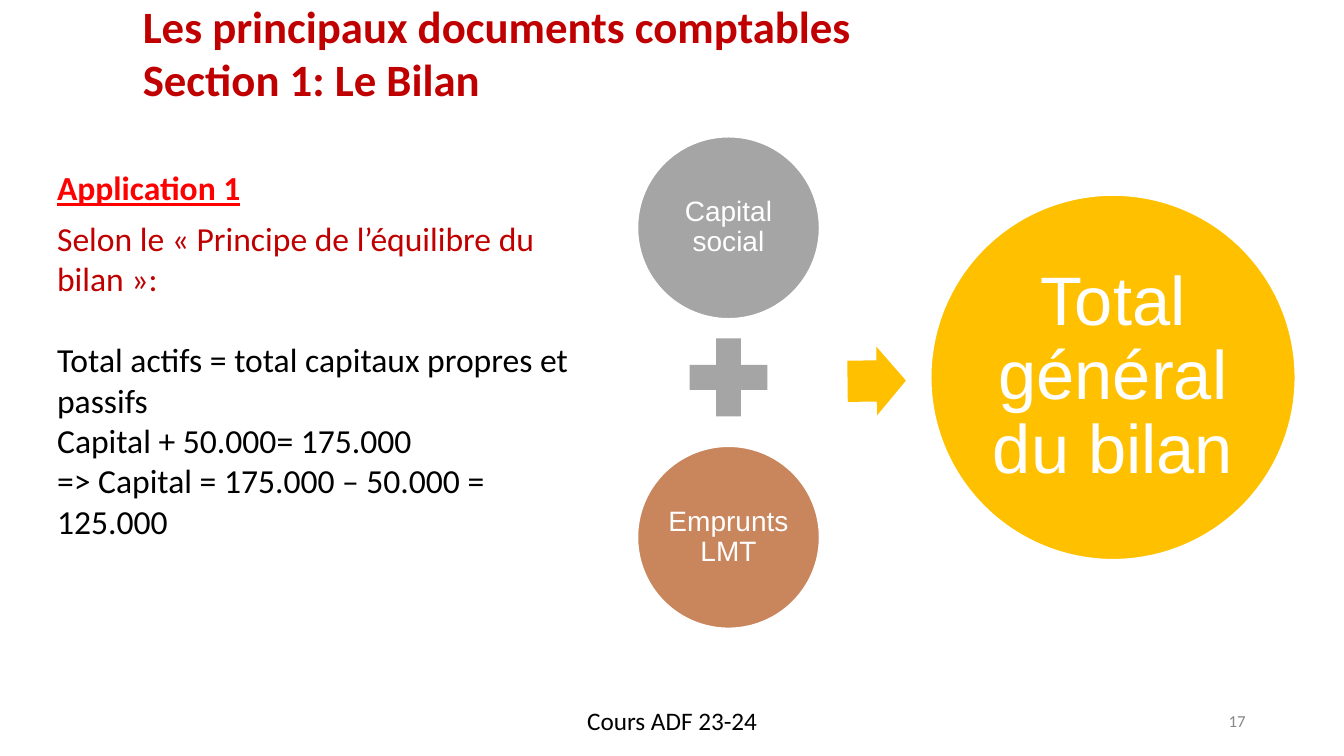
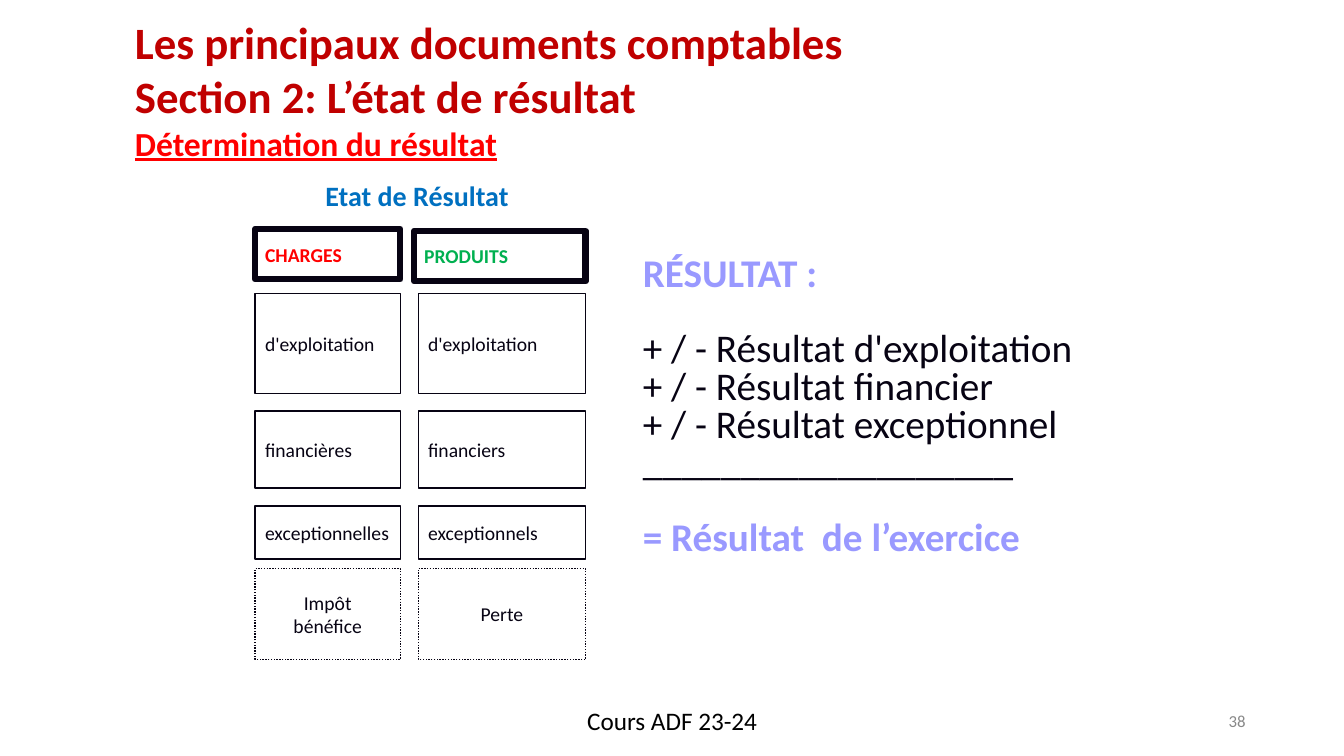
from dataclasses import dataclass

from pptx import Presentation
from pptx.dml.color import RGBColor
from pptx.enum.dml import MSO_LINE
from pptx.enum.shapes import MSO_SHAPE
from pptx.enum.text import MSO_ANCHOR, PP_ALIGN
from pptx.util import Cm, Pt

COLORS = {
    "title": "C00000",
    "accent": "FF0000",
    "black": "000000",
    "ink": "070313",
    "white": "FFFFFF",
    "number": "888888",
    "grey": "A5A5A5",
    "copper": "C9855C",
    "gold": "FFC000",
    "blue": "0070C0",
    "green": "00B050",
    "lilac": "9999FF",
}


@dataclass
class Line:
    text: str
    size: float
    color: str = "black"
    bold: bool = False
    underline: bool = False
    font: str = "Calibri"
    align: PP_ALIGN = PP_ALIGN.LEFT
    spacing: float = 1.0
    before: float = 0


def color(name):
    return RGBColor.from_string(COLORS[name])


def write(frame, lines, anchor=MSO_ANCHOR.TOP):
    frame.word_wrap = True
    frame.vertical_anchor = anchor
    for index, line in enumerate(lines):
        para = frame.add_paragraph() if index else frame.paragraphs[0]
        para.text = line.text
        para.alignment = line.align
        para.line_spacing = line.spacing
        para.space_before = Pt(line.before)
        for span in para.runs:
            span.font.name = line.font
            span.font.size = Pt(line.size)
            span.font.bold = line.bold
            span.font.underline = line.underline
            span.font.color.rgb = color(line.color)


def add_text(page, box, lines, anchor=MSO_ANCHOR.TOP):
    shape = page.shapes.add_textbox(*map(Cm, box))
    write(shape.text_frame, lines, anchor)
    return shape


def add_figure(page, kind, box, fill=None, line=None, weight=1):
    shape = page.shapes.add_shape(kind, *map(Cm, box))
    shape.shadow.inherit = False
    if fill:
        shape.fill.solid()
        shape.fill.fore_color.rgb = color(fill)
    else:
        shape.fill.background()
    if line:
        shape.line.color.rgb = color(line)
        shape.line.width = Pt(weight)
    else:
        shape.line.fill.background()
    return shape


def add_title(page, box, section, spacing=1.0, before=0, subtitle=None):
    heading = {"size": 32, "color": "title", "bold": True, "spacing": spacing}
    lines = [
        Line("Les principaux documents comptables", **heading),
        Line(section, before=before, **heading),
    ]
    if subtitle:
        lines.append(Line(subtitle, 24, "accent", bold=True, underline=True))
    add_text(page, box, lines)


def add_footer(page, number):
    add_text(page, (11.58, 17.65, 10.72, 1.02),
             [Line("Cours ADF 23-24", 18, align=PP_ALIGN.CENTER)])
    shape = add_text(page, (30.56, 17.78, 0.96, 0.76),
                     [Line(number, 12, "number", align=PP_ALIGN.RIGHT)],
                     MSO_ANCHOR.MIDDLE)
    shape.text_frame.margin_left = shape.text_frame.margin_right = Cm(0.13)


def add_application(page, box):
    left, top, width, height = box
    heading_height = 1.27
    add_text(page, (left, top, width, heading_height),
             [Line("Application 1", 24, "accent", bold=True, underline=True)])
    add_text(page, (left, top + heading_height, width, height - heading_height), [
        Line("Selon le « Principe de l’équilibre du bilan »:", 24, "title"),
        Line("Total actifs = total capitaux propres et passifs", 24, before=29.3),
        Line("Capital + 50.000= 175.000", 24),
        Line("=> Capital = 175.000 – 50.000 = 125.000", 24),
    ])


def add_circle(page, left, top, size, label, fill, text_size, inset):
    circle = add_figure(page, MSO_SHAPE.OVAL, (left, top, size, size), fill, "white", 2)
    frame = circle.text_frame
    frame.margin_left = frame.margin_right = Cm(inset)
    frame.margin_top = frame.margin_bottom = Cm(inset)
    write(frame, [Line(label, text_size, "white", font="Arial",
                       align=PP_ALIGN.CENTER, spacing=0.9)], MSO_ANCHOR.MIDDLE)


def add_balance_diagram(page, box):
    left, top, width, height = box
    part, total, plus = 4.62, 9.22, 2.67
    arrow_width, arrow_height = 1.47, 1.73
    axis = top + 6.08
    add_circle(page, left, top, part, "Capital social", "grey", 20, 0.08)
    add_figure(page, MSO_SHAPE.MATH_PLUS,
               (left + (part - plus) / 2, axis - plus / 2, plus, plus), "grey")
    add_circle(page, left, top + height - part, part, "Emprunts LMT", "copper", 20, 0.08)
    arrow = add_figure(page, MSO_SHAPE.RIGHT_ARROW,
                       (left + 5.31, axis - arrow_height / 2 + 0.09,
                        arrow_width, arrow_height), "gold")
    arrow.adjustments[0] = 0.6
    arrow.adjustments[1] = 0.5
    arrow.rotation = 359.3
    add_circle(page, left + width - total, axis - total / 2, total,
               "Total général du bilan", "gold", 49, 0.18)


def add_cell(page, box, texts, text_color="ink", bold=False, weight=1, dotted=False):
    cell = add_figure(page, MSO_SHAPE.RECTANGLE, box, line="ink", weight=weight)
    if dotted:
        cell.line.dash_style = MSO_LINE.ROUND_DOT
    else:
        cell.text_frame.margin_right = Cm(0)
    align = PP_ALIGN.CENTER if dotted else PP_ALIGN.LEFT
    write(cell.text_frame,
          [Line(text, 14, text_color, bold, align=align) for text in texts],
          MSO_ANCHOR.MIDDLE)


def add_income_statement(page, box):
    left, top, width, height = box
    add_text(page, (left - 1, top, 10.16, 0.91),
             [Line("Etat de Résultat", 20, "blue", bold=True,
                   align=PP_ALIGN.CENTER, spacing=0.75)], MSO_ANCHOR.BOTTOM)
    rows = [(2.84, 2.53), (5.81, 1.94), (8.2, 1.34), (9.78, height - 9.78)]
    columns = [
        (0, 3.66, 0, 1.22, "CHARGES", "accent",
         [["d'exploitation"], ["financières"], ["exceptionnelles"], ["Impôt", "bénéfice"]]),
        (4.11, width - 4.11, 0.1, 1.27, "PRODUITS", "green",
         [["d'exploitation"], ["financiers"], ["exceptionnels"], ["Perte"]]),
    ]
    for offset, cell_width, overhang, header_top, header, header_color, entries in columns:
        add_cell(page, (left + offset - overhang, top + header_top,
                        cell_width + overhang, 1.27),
                 [header], header_color, bold=True, weight=4.5)
        for (row_top, row_height), texts in zip(rows, entries):
            add_cell(page, (left + offset, top + row_top, cell_width, row_height),
                     texts, dotted=texts is entries[-1])


def add_result(page, box):
    plain = {"size": 28, "color": "ink", "spacing": 0.8}
    strong = {"size": 28, "color": "lilac", "bold": True, "spacing": 0.8}
    gap = 27.3
    add_text(page, box, [
        Line("RÉSULTAT :", **strong),
        Line("+ / - Résultat d'exploitation", before=gap, **plain),
        Line("+ / - Résultat financier", **plain),
        Line("+ / - Résultat exceptionnel", **plain),
        Line("___________________", **plain),
        Line("= Résultat  de l’exercice", before=gap, **strong),
    ])


def build_balance_page(page):
    add_title(page, (3.35, 0, 24.3, 4.14), "Section 1: Le Bilan", spacing=0.9, before=3.5)
    add_application(page, (1.19, 4.09, 13.64, 10.74))
    add_balance_diagram(page, (16.05, 3.43, 16.61, 12.42))
    add_footer(page, "17")


def build_income_page(page):
    add_title(page, (3.15, 0.25, 27.41, 3.94), "Section 2: L’état de résultat",
              subtitle="Détermination du résultat")
    add_income_statement(page, (6.43, 4.55, 8.33, 12.07))
    add_result(page, (15.95, 6.35, 12.9, 7.92))
    add_footer(page, "38")


def main():
    deck = Presentation()
    deck.slide_width = Cm(33.87)
    deck.slide_height = Cm(19.05)
    for build in (build_balance_page, build_income_page):
        build(deck.slides.add_slide(deck.slide_layouts[6]))
    deck.save("out.pptx")


if __name__ == "__main__":
    main()
